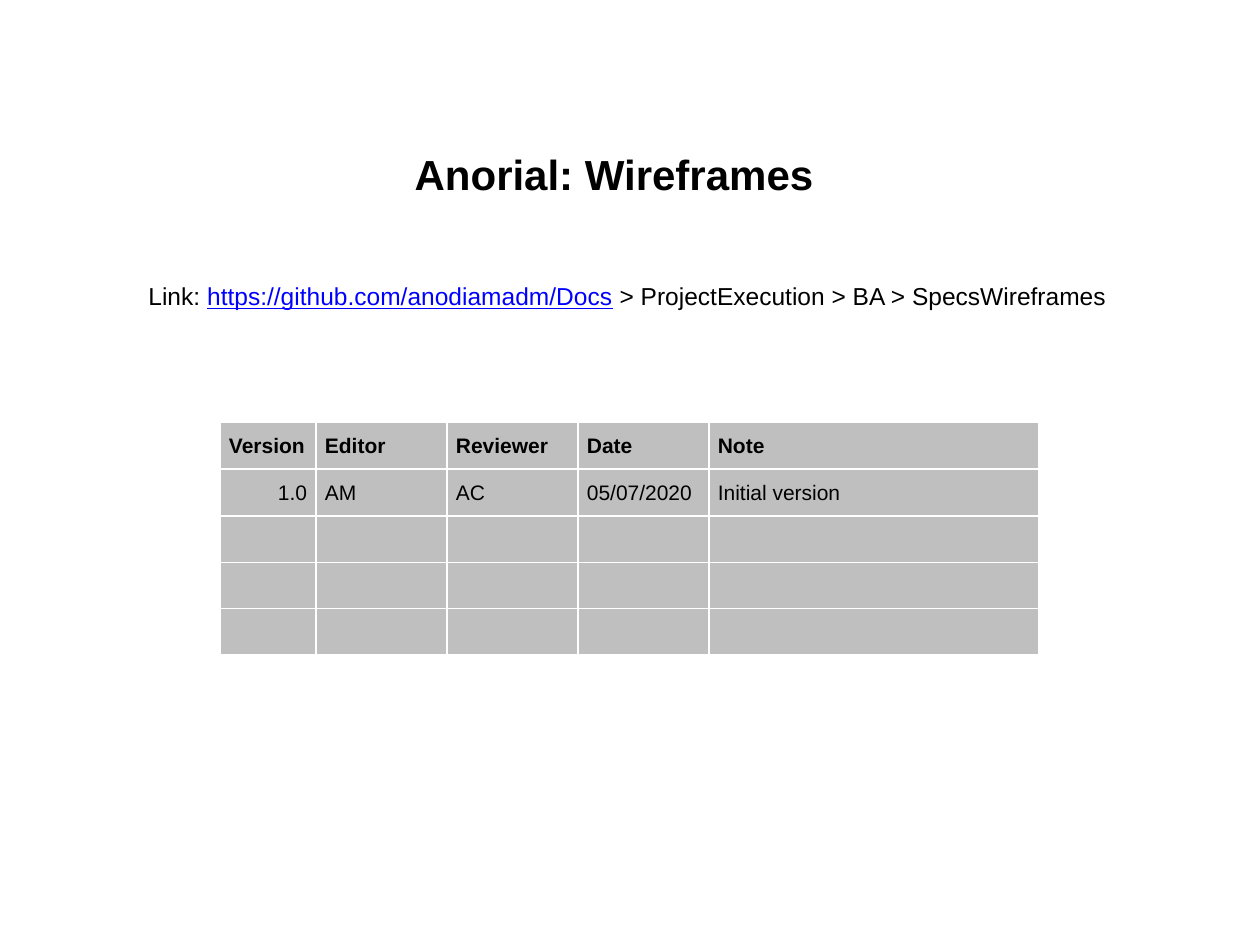
"""Build the wireframes cover slide with its version table."""
from dataclasses import dataclass

from lxml.etree import SubElement
from pptx import Presentation
from pptx.dml.color import RGBColor
from pptx.enum.text import MSO_ANCHOR, PP_ALIGN
from pptx.oxml.ns import qn
from pptx.util import Emu, Pt

SCALE = 914400 / 126


def px(n):
    return Emu(round(n * SCALE))


@dataclass(frozen=True)
class Theme:
    font: str = "Arial"
    ink: str = "000000"
    link: str = "0000FF"
    fill: str = "BFBFBF"
    rule: str = "FFFFFF"
    head: int = 24
    body: int = 14
    cell: int = 12
    lead: float = 1.15


class Deck:
    def __init__(self, theme, wide, high):
        self.theme = theme
        self.show = Presentation()
        self.show.slide_width, self.show.slide_height = px(wide), px(high)
        self.slide = self.show.slides.add_slide(self.show.slide_layouts[5])

    def style(self, para, size, align, bold=False):
        para.alignment = align
        font = para.font
        font.name, font.size, font.bold = self.theme.font, Pt(size), bold
        font.color.rgb = RGBColor.from_string(self.theme.ink)

    def title(self, text, *box):
        shape = self.slide.shapes.title
        shape.left, shape.top, shape.width, shape.height = map(px, box)
        frame = shape.text_frame
        frame.text = text
        frame.word_wrap = False
        frame.vertical_anchor = MSO_ANCHOR.TOP
        para = frame.paragraphs[0]
        para.line_spacing = self.theme.lead
        self.style(para, self.theme.head, PP_ALIGN.CENTER, True)

    def link(self, before, url, after, *box):
        frame = self.slide.shapes.add_textbox(*map(px, box)).text_frame
        frame.word_wrap = True
        para = frame.paragraphs[0]
        self.style(para, self.theme.body, PP_ALIGN.CENTER)
        for text in (before, url, after):
            run = para.add_run()
            run.text = text
            if text == url:
                run.font.underline = True
                run.font.color.rgb = RGBColor.from_string(self.theme.link)

    def table(self, rows, cols, left, top, high):
        shape = self.slide.shapes.add_table(
            len(rows), len(cols), px(left), px(top), px(sum(cols)), px(high))
        grid = shape.table
        for col, wide in zip(grid.columns, cols):
            col.width = px(wide)
        for r, row in enumerate(rows):
            for c, text in enumerate(row):
                align = PP_ALIGN.RIGHT if (r, c) == (1, 0) else PP_ALIGN.JUSTIFY
                self.cell(grid.cell(r, c), text, align, r == 0)

    def cell(self, cell, text, align, bold):
        cell.margin_left = cell.margin_right = px(9)
        cell.margin_top = cell.margin_bottom = px(9)
        para = cell.text_frame.paragraphs[0]
        para.line_spacing = self.theme.lead
        self.style(para, self.theme.cell, align, bold)
        if text:
            para.add_run().text = text
        else:
            SubElement(para._p, qn("a:endParaRPr"), sz=str(self.theme.cell * 100))
        props = cell._tc.get_or_add_tcPr()
        for side in "LRTB":
            line = SubElement(props, qn(f"a:ln{side}"), w=str(Pt(1)))
            paint = SubElement(line, qn("a:solidFill"))
            SubElement(paint, qn("a:srgbClr"), val=self.theme.rule)
        cell.fill.solid()
        cell.fill.fore_color.rgb = RGBColor.from_string(self.theme.fill)

    def save(self):
        self.show.save("out.pptx")


def main():
    deck = Deck(Theme(), 1260, 945)
    deck.title("Anorial: Wireframes", 382, 135, 464, 67)
    deck.link("Link: ", "https://github.com/anodiamadm/Docs",
              " > ProjectExecution > BA > SpecsWireframes", 59, 275, 1137, 43)
    rows = [
        ["Version", "Editor", "Reviewer", "Date", "Note"],
        ["1.0", "AM", "AC", "05/07/2020", "Initial version"],
    ] + [[""] * 5] * 3
    deck.table(rows, [96, 131, 131, 131, 330], 220, 422, 232)
    deck.save()


if __name__ == "__main__":
    main()
